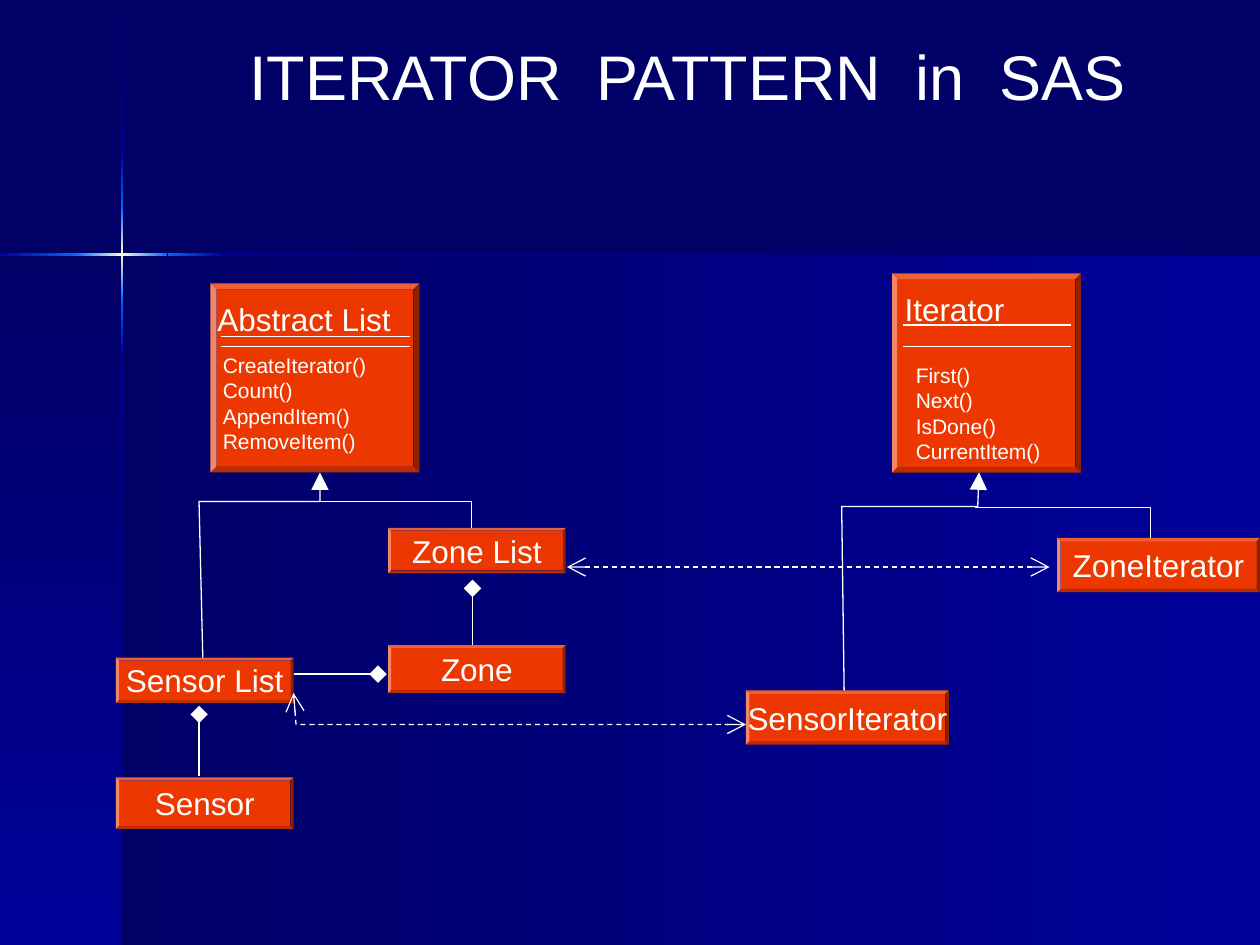
from lxml import etree
from pptx import Presentation
from pptx.dml.color import RGBColor
from pptx.enum.dml import MSO_LINE
from pptx.enum.shapes import MSO_CONNECTOR, MSO_SHAPE as SHAPE
from pptx.enum.text import MSO_ANCHOR as ANCHOR, PP_ALIGN as ALIGN
from pptx.oxml.ns import qn
from pptx.util import Inches, Pt

WHITE, RED = "FFFFFF", "EC3800"
NAVY, BLUE, BRIGHT, CREAM = "000066", "000099", "0066FF", "FFFFCC"


def rgb(value):
    return RGBColor.from_string(value)


def inches(*values):
    return [Inches(value) for value in values]


def style_run(run, size, font="Arial"):
    run.font.size = Pt(size)
    run.font.name = font
    run.font.color.rgb = rgb(WHITE)


def add_gradient(slide, box, colors, angle):
    """Rectangle with evenly spaced colours; the angle runs counter-clockwise."""
    panel = slide.shapes.add_shape(SHAPE.RECTANGLE, *inches(*box))
    panel.shadow.inherit = False
    panel.line.fill.background()
    panel.fill.gradient()
    panel.fill.gradient_angle = angle
    stops = panel._element.spPr.find(qn("a:gradFill")).find(qn("a:gsLst"))
    for stop in list(stops):
        stops.remove(stop)
    for index, color in enumerate(colors):
        position = 100000 * index // (len(colors) - 1)
        stop = etree.SubElement(stops, qn("a:gs"), pos=str(position))
        etree.SubElement(stop, qn("a:srgbClr"), val=color)


def add_text(slide, box, lines, size, align=ALIGN.LEFT, wrap=True, line_height=None):
    frame = slide.shapes.add_textbox(*inches(*box)).text_frame
    frame.word_wrap = wrap
    frame.text = "\n".join(lines)
    for paragraph in frame.paragraphs:
        paragraph.alignment = align
        paragraph.line_spacing = Pt(line_height or 1.2 * size)
        for run in paragraph.runs:
            style_run(run, size)
    return frame


def add_bevel(slide, box, label="", depth=0.0625):
    block = slide.shapes.add_shape(SHAPE.BEVEL, *inches(*box))
    block.adjustments[0] = depth
    block.shadow.inherit = False
    block.fill.solid()
    block.fill.fore_color.rgb = rgb(RED)
    block.line.fill.background()
    if label:
        frame = block.text_frame
        frame.word_wrap = False
        frame.vertical_anchor = ANCHOR.MIDDLE
        frame.text = label
        frame.paragraphs[0].alignment = ALIGN.CENTER
        style_run(frame.paragraphs[0].runs[0], 18)


def style_line(line, head, tail, dashed):
    line.color.rgb = rgb(WHITE)
    line.width = Pt(0.75)
    if dashed:
        line.dash_style = MSO_LINE.DASH
    for tag, kind in (("a:headEnd", head), ("a:tailEnd", tail)):
        if kind:
            etree.SubElement(line._get_or_add_ln(), qn(tag), type=kind, w="lg", len="lg")


def add_line(slide, start, end, head=None, tail=None, dashed=False):
    link = slide.shapes.add_connector(MSO_CONNECTOR.STRAIGHT, *inches(*start, *end))
    style_line(link.line, head, tail, dashed)
    etree.SubElement(link._element.spPr, qn("a:effectLst"))


def add_bent_line(slide, points, head=None, tail=None, dashed=False):
    start, *rest = [inches(*point) for point in points]
    builder = slide.shapes.build_freeform(*start)
    builder.add_line_segments(rest, close=False)
    link = builder.convert_to_shape()
    link.shadow.inherit = False
    link.fill.background()
    style_line(link.line, head, tail, dashed)


def add_backdrop(slide):
    slide.background.fill.solid()
    slide.background.fill.fore_color.rgb = rgb(NAVY)
    glow = [BRIGHT, CREAM, BRIGHT]
    # Panels
    add_gradient(slide, (0.97, 2.02, 9.03, 5.48), [NAVY, BLUE], 0)
    add_gradient(slide, (0, 2.02, 0.97, 5.48), [NAVY, BLUE], 270)
    # Vertical and horizontal rays of the star, each as (start, length, colours)
    for top, height, colors in (
        (0.01, 1.2, [NAVY, BLUE]), (2.82, 4.68, [BLUE, NAVY]),
        (2.38, 0.44, [BRIGHT, BLUE]), (1.21, 0.44, [BLUE, BRIGHT]), (1.65, 0.73, glow),
    ):
        add_gradient(slide, (0.96, top, 0.02, height), colors, 270)
    for left, width, colors in (
        (1.77, 8.23, [BLUE, NAVY]), (0, 0.61, [BLUE, BRIGHT]),
        (1.33, 0.44, [BRIGHT, BLUE]), (0.6, 0.73, glow),
    ):
        add_gradient(slide, (left, 2.01, width, 0.02), colors, 0)


def add_abstract_classes(slide):
    # Abstract List
    add_bevel(slide, (1.67, 2.25, 1.66, 1.5), depth=0.033)
    heading = add_text(slide, (1.58, 2.25, 1.75, 0.5), ["Abstract List"], 18,
                       ALIGN.CENTER, line_height=28.8)
    spacer = heading.paragraphs[0].add_run()
    spacer.text = " "
    style_run(spacer, 24, "Times New Roman")
    add_text(slide, (1.67, 2.75, 1.41, 0.9),
             ["CreateIterator()", "Count()", "AppendItem()", "RemoveItem()"], 12)
    # Iterator
    add_bevel(slide, (7.08, 2.17, 1.5, 1.58), depth=0.03)
    add_text(slide, (7.08, 2.25, 0.99, 0.4), ["Iterator"], 18, ALIGN.CENTER, wrap=False)
    add_text(slide, (7.17, 2.83, 1.33, 0.9),
             ["First()", "Next()", "IsDone()", "CurrentItem()"], 12)
    # Compartment rules
    for left, right, heights in ((1.75, 3.25, (2.67, 2.75)), (7.17, 8.5, (2.58, 2.75))):
        for y in heights:
            add_line(slide, (left, y), (right, y))


def add_concrete_classes(slide):
    for label, box in (
        ("Sensor List", (0.92, 5.22, 1.41, 0.36)),
        ("Zone List", (3.08, 4.19, 1.41, 0.36)),
        ("Sensor", (0.92, 6.17, 1.41, 0.41)),
        ("Zone", (3.08, 5.12, 1.41, 0.38)),
        ("SensorIterator", (5.92, 5.48, 1.61, 0.43)),
        ("ZoneIterator", (8.39, 4.27, 1.61, 0.43)),
    ):
        add_bevel(slide, box, label)


def add_relations(slide):
    # Inheritance
    add_bent_line(slide, [(1.61, 5.22), (1.58, 3.98), (2.54, 3.98), (2.54, 3.75)],
                  tail="triangle")
    add_bent_line(slide, [(2.51, 3.98), (3.74, 3.98), (3.74, 4.19)])
    add_bent_line(slide, [(6.7, 5.48), (6.68, 4.02), (7.76, 4.02), (7.77, 3.75)],
                  tail="triangle")
    add_bent_line(slide, [(7.74, 4.03), (9.13, 4.03), (9.13, 4.27)])
    # Aggregation
    add_line(slide, (1.58, 5.67), (1.58, 6.16), head="diamond")
    add_line(slide, (3.75, 4.67), (3.75, 5.12), head="diamond")
    add_line(slide, (2.33, 5.35), (3, 5.35), tail="diamond")
    # Dependency between lists and iterators
    add_line(slide, (4.5, 4.5), (8.33, 4.5), "arrow", "arrow", dashed=True)
    add_bent_line(slide, [(2.33, 5.5), (2.35, 5.75), (5.92, 5.75)],
                  "arrow", "arrow", dashed=True)


def main():
    deck = Presentation()
    deck.slide_width, deck.slide_height = inches(10, 7.5)
    slide = deck.slides.add_slide(deck.slide_layouts[6])
    add_backdrop(slide)
    add_text(slide, (1.67, 0.25, 7.58, 0.7), ["ITERATOR  PATTERN  in  SAS"], 36, ALIGN.CENTER)
    add_abstract_classes(slide)
    add_concrete_classes(slide)
    add_relations(slide)
    deck.save("out.pptx")


if __name__ == "__main__":
    main()
